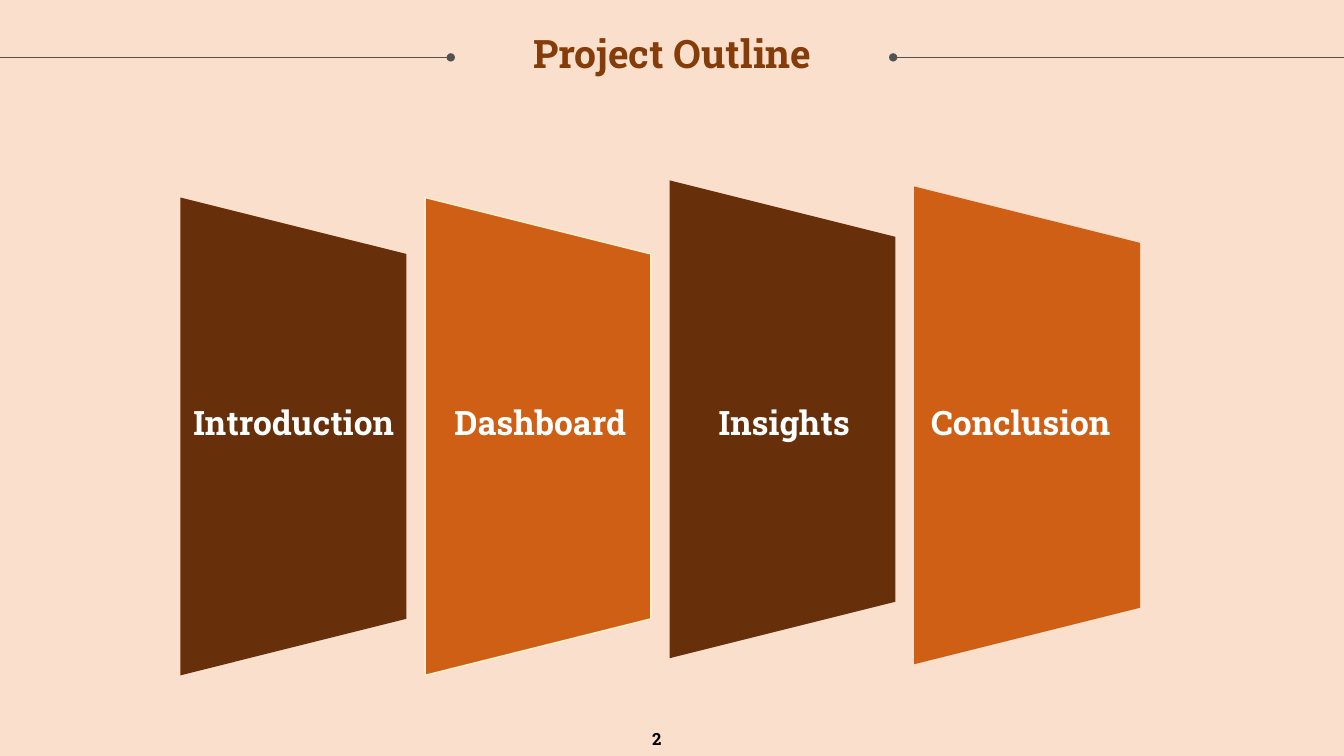
from dataclasses import dataclass

from lxml.etree import SubElement
from pptx import Presentation
from pptx.dml.color import RGBColor
from pptx.enum.shapes import MSO_CONNECTOR, MSO_SHAPE
from pptx.enum.text import MSO_ANCHOR, MSO_AUTO_SIZE, PP_ALIGN
from pptx.oxml.ns import qn
from pptx.util import Pt


@dataclass(frozen=True)
class Theme:
    font: str = "Roboto Slab"
    back: str = "FADFCD"
    title: str = "843C0B"
    rule: str = "525252"
    dark: str = "67300A"
    light: str = "CF5F15"
    edge: str = "FFF2CC"
    white: str = "FFFFFF"
    black: str = "000000"
    head_size: int = 28
    label_size: int = 24
    page_size: int = 12


THEME = Theme()
WIDTH, HEIGHT = 960, 540
PANEL_LONG, PANEL_WIDE = 341.3, 161.3
PANEL_LEFT, PANEL_STEP = 38.9, 174.7
LABEL_TOP, LABEL_HIGH = 283.7, 36
RULE_TOP = 41

PANELS = [
    ("Introduction", 231.1, THEME.dark, None, 131, 173.5),
    ("Dashboard", 231.1, THEME.light, THEME.edge, 317.5, 173.5),
    ("Insights", 218.9, THEME.dark, None, 506.2, 111.6),
    ("Conclusion", 223.2, THEME.light, None, 658.1, 151.9),
]


def color(code):
    return RGBColor.from_string(code)


def place(shape, left, top, width, height):
    shape.left, shape.top = Pt(left), Pt(top)
    shape.width, shape.height = Pt(width), Pt(height)


def write(frame, text, size, code, align):
    frame.word_wrap = True
    frame.text = text
    para = frame.paragraphs[0]
    para.alignment = align
    para.font.name = THEME.font
    para.font.size = Pt(size)
    para.font.bold = True
    para.font.color.rgb = color(code)
    return para


def add_title(slide, text):
    title = slide.shapes.title
    place(title, 18, 24.5, 924, 61.2)
    frame = title.text_frame
    frame.margin_left = frame.margin_right = 0
    frame.margin_top = frame.margin_bottom = 0
    frame.vertical_anchor = MSO_ANCHOR.TOP
    frame.auto_size = MSO_AUTO_SIZE.NONE
    para = write(frame, text, THEME.head_size, THEME.title, PP_ALIGN.CENTER)
    para.line_spacing = 0.9


def add_rule(slide, dot, end):
    rule = slide.shapes.add_connector(
        MSO_CONNECTOR.STRAIGHT, Pt(dot), Pt(RULE_TOP), Pt(end), Pt(RULE_TOP)
    )
    rule.line.color.rgb = color(THEME.rule)
    rule.line.width = Pt(0.5)
    SubElement(rule.line._get_or_add_ln(), qn("a:headEnd"), type="oval")
    SubElement(rule._element.spPr, qn("a:effectLst"))


def add_panel(slide, left, top, fill, edge):
    panel = slide.shapes.add_shape(
        MSO_SHAPE.TRAPEZOID, Pt(left), Pt(top), Pt(PANEL_LONG), Pt(PANEL_WIDE)
    )
    panel.rotation = 90
    panel.shadow.inherit = False
    panel.fill.solid()
    panel.fill.fore_color.rgb = color(fill)
    if edge:
        panel.line.color.rgb = color(edge)
        panel.line.width = Pt(1)
    else:
        panel.line.fill.background()


def add_text(slide, box, text, size, code, align=PP_ALIGN.LEFT):
    frame = slide.shapes.add_textbox(*map(Pt, box)).text_frame
    write(frame, text, size, code, align)
    return frame


def main():
    deck = Presentation()
    deck.slide_width, deck.slide_height = Pt(WIDTH), Pt(HEIGHT)
    slide = deck.slides.add_slide(deck.slide_layouts.get_by_name("Title Only"))
    slide.background.fill.solid()
    slide.background.fill.fore_color.rgb = color(THEME.back)

    add_title(slide, "Project Outline")
    add_rule(slide, 638, WIDTH)
    add_rule(slide, 322, 0)

    for index, (_, top, fill, edge, _, _) in enumerate(PANELS):
        add_panel(slide, PANEL_LEFT + index * PANEL_STEP, top, fill, edge)
    for text, _, _, _, left, width in PANELS:
        box = (left, LABEL_TOP, width, LABEL_HIGH)
        add_text(slide, box, text, THEME.label_size, THEME.white)

    page = add_text(slide, (454.3, 520.6, 25.2, 13.7), "2",
                    THEME.page_size, THEME.black, PP_ALIGN.RIGHT)
    page.vertical_anchor = MSO_ANCHOR.MIDDLE
    deck.save("out.pptx")


if __name__ == "__main__":
    main()
